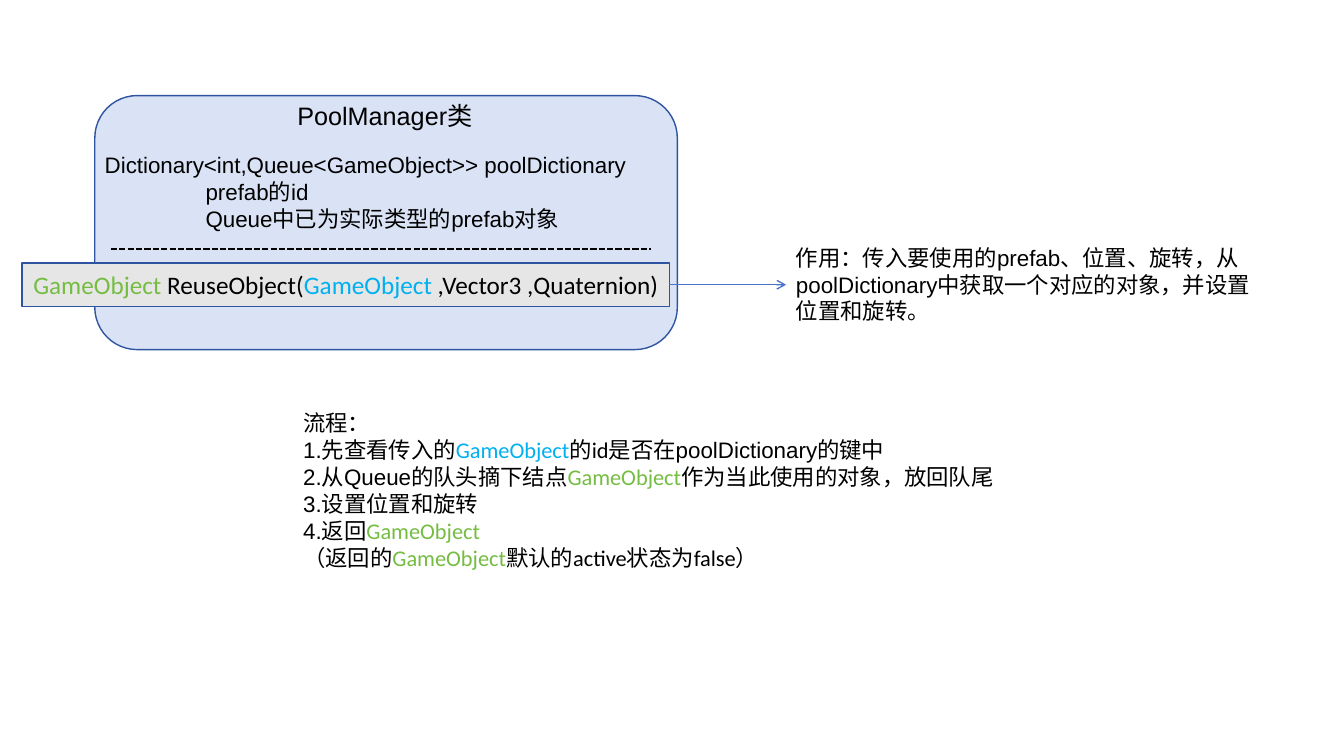
from lxml.etree import SubElement
from pptx import Presentation
from pptx.dml.color import RGBColor
from pptx.enum.dml import MSO_LINE_DASH_STYLE as Dash
from pptx.enum.shapes import MSO_CONNECTOR as Connector, MSO_SHAPE as Shape
from pptx.enum.text import MSO_ANCHOR as Anchor, PP_ALIGN as Align
from pptx.oxml.ns import qn
from pptx.util import Cm, Pt

BLACK = RGBColor(0x00, 0x00, 0x00)
GREEN = RGBColor(0x75, 0xBD, 0x42)
CYAN = RGBColor(0x00, 0xB0, 0xF0)
BLUE = RGBColor(0x48, 0x74, 0xCB)
NAVY = RGBColor(0x2E, 0x54, 0xA1)
PALE_BLUE = RGBColor(0xDA, 0xE3, 0xF5)
GREY = RGBColor(0xE7, 0xE6, 0xE6)

# A paragraph is a list of runs: (text, font, colour)
RETURNED = ("GameObject", "Calibri", GREEN)
PASSED = ("GameObject", "Calibri", CYAN)


def arial(text):
    return text, "Arial", BLACK


def calibri(text):
    return text, "Calibri", BLACK


TITLE = [[arial("PoolManager类")]]
FIELDS = [
    [arial("Dictionary<int,Queue<GameObject>> poolDictionary")],
    [arial("prefab的id")],
    [arial("Queue中已为实际类型的prefab对象")],
]
METHOD = [[RETURNED, calibri(" ReuseObject("), PASSED, calibri(" ,Vector3 ,Quaternion)")]]
PURPOSE = [[arial("作用：传入要使用的prefab、位置、旋转，从poolDictionary中获取一个对应的对象，并设置位置和旋转。")]]
STEPS = [
    [arial("流程：")],
    [arial("1.先查看传入的"), PASSED, calibri("的id是否在"), arial("poolDictionary的键中")],
    [arial("2.从Queue的队头摘下结点"), RETURNED, arial("作为当此使用的对象，放回队尾")],
    [arial("3.设置位置和旋转")],
    [arial("4.返回"), RETURNED],
    [arial("（返回的"), RETURNED, calibri("默认的active状态为false"), arial("）")],
]

# Left, top, width, height in cm
CLASS_BOX = (2.39, 2.41, 14.68, 6.4)
TITLE_BOX = (5.33, 2.41, 8.74, 1.02)
FIELDS_BOX = (2.39, 3.68, 14.86, 2.31)
METHOD_BOX = (0.56, 6.63, 16.31, 1.09)
PURPOSE_BOX = (19.81, 6.02, 12.12, 2.31)
STEPS_BOX = (7.39, 10.19, 18.16, 4.37)
DIVIDER_LEFT, DIVIDER_RIGHT, DIVIDER_TOP = 2.79, 16.41, 6.27
FIELD_INDENT = Cm(2.54)


def write(shape, paragraphs, size=16, align=Align.LEFT, anchor=Anchor.TOP, indent=0):
    """Fill a shape with runs; indent moves every paragraph after the first."""
    frame = shape.text_frame
    frame.word_wrap = True
    frame.vertical_anchor = anchor
    for index, runs in enumerate(paragraphs):
        paragraph = frame.add_paragraph() if index else frame.paragraphs[0]
        paragraph.alignment = align
        if index and indent:
            paragraph._p.get_or_add_pPr().set("marL", str(indent))
        for text, font, color in runs:
            run = paragraph.add_run()
            run.text = text
            run.font.name = font
            run.font.size = Pt(size)
            run.font.color.rgb = color
    return shape


def add_text(slide, box, paragraphs, **style):
    return write(slide.shapes.add_textbox(*map(Cm, box)), paragraphs, **style)


def add_box(slide, kind, box, fill):
    shape = slide.shapes.add_shape(kind, *map(Cm, box))
    shape.shadow.inherit = False
    shape.fill.solid()
    shape.fill.fore_color.rgb = fill
    shape.line.color.rgb = NAVY
    shape.line.width = Pt(1)
    return shape


def add_line(slide, start, end, color, width):
    line = slide.shapes.add_connector(Connector.STRAIGHT, *map(Cm, start + end))
    line.line.color.rgb = color
    line.line.width = Pt(width)
    SubElement(line._element.spPr, qn("a:effectLst"))
    return line


def main():
    presentation = Presentation()
    presentation.slide_width, presentation.slide_height = Cm(33.87), Cm(19.05)
    slide = presentation.slides.add_slide(presentation.slide_layouts[6])

    add_box(slide, Shape.ROUNDED_RECTANGLE, CLASS_BOX, PALE_BLUE)
    add_text(slide, TITLE_BOX, TITLE, size=18, align=Align.CENTER)
    add_text(slide, FIELDS_BOX, FIELDS, indent=FIELD_INDENT)
    divider = add_line(slide, (DIVIDER_LEFT, DIVIDER_TOP), (DIVIDER_RIGHT, DIVIDER_TOP), BLACK, 1.5)
    divider.line.dash_style = Dash.SQUARE_DOT
    divider.line._ln.find(qn("a:prstDash")).set("val", "sysDash")

    method = add_box(slide, Shape.RECTANGLE, METHOD_BOX, GREY)
    write(method, METHOD, size=18, align=Align.CENTER, anchor=Anchor.MIDDLE)
    purpose = add_text(slide, PURPOSE_BOX, PURPOSE)
    arrow = add_line(slide, (0, 0), (1, 1), BLUE, 1)
    arrow.begin_connect(method, 3)
    arrow.end_connect(purpose, 1)
    SubElement(arrow.line._ln, qn("a:tailEnd"), type="arrow")

    add_text(slide, STEPS_BOX, STEPS)
    presentation.save("out.pptx")


if __name__ == "__main__":
    main()
